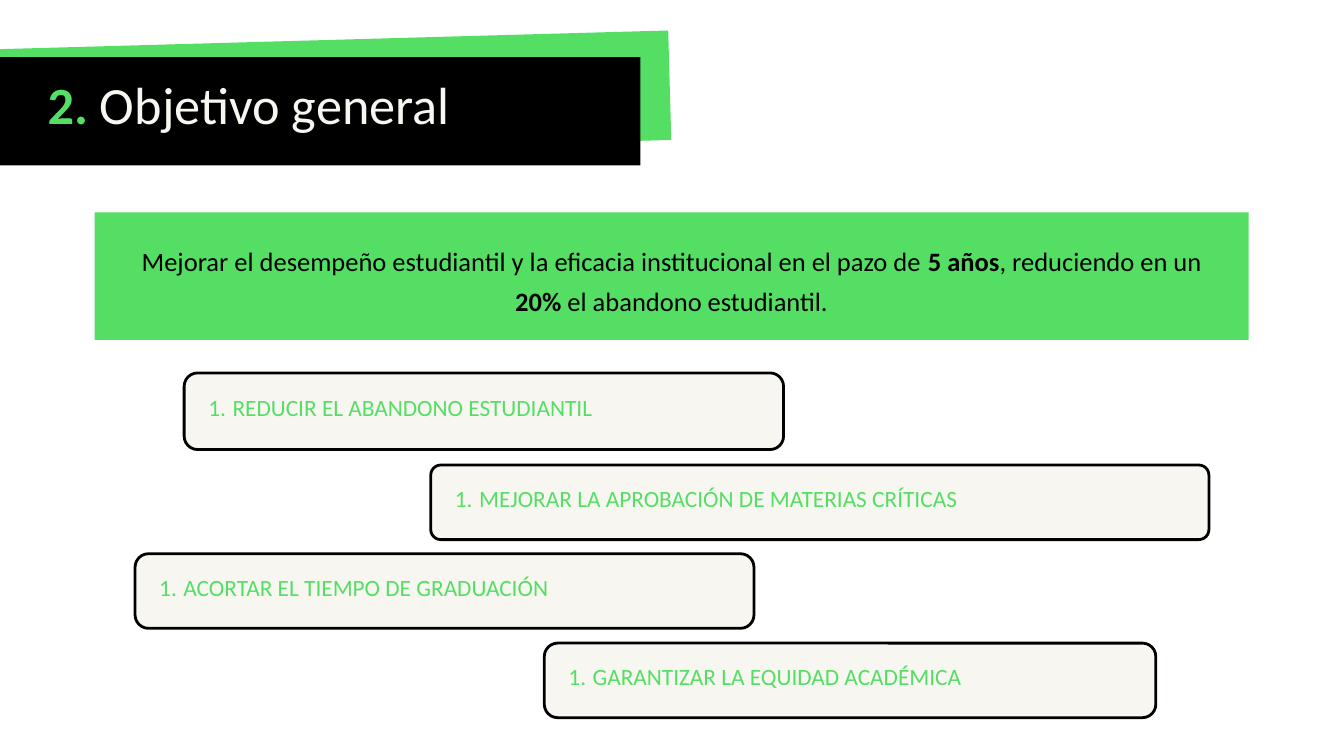
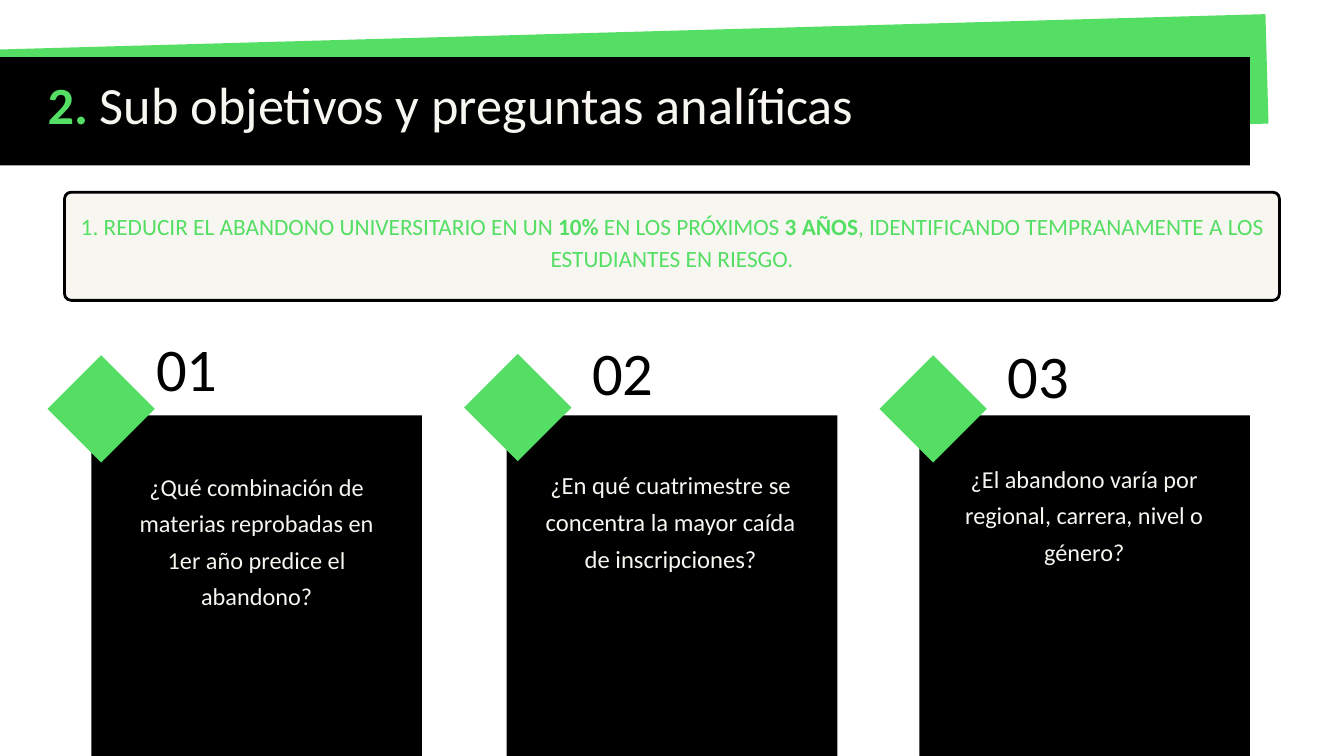
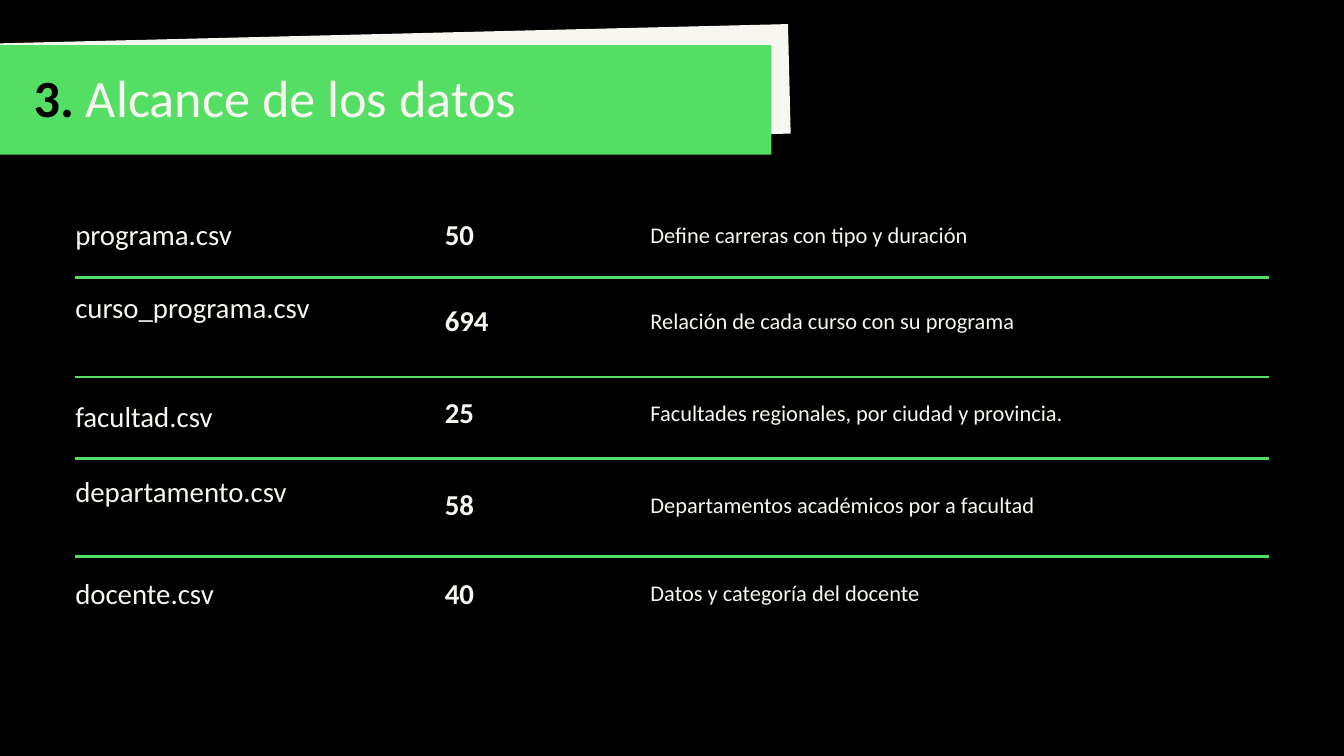
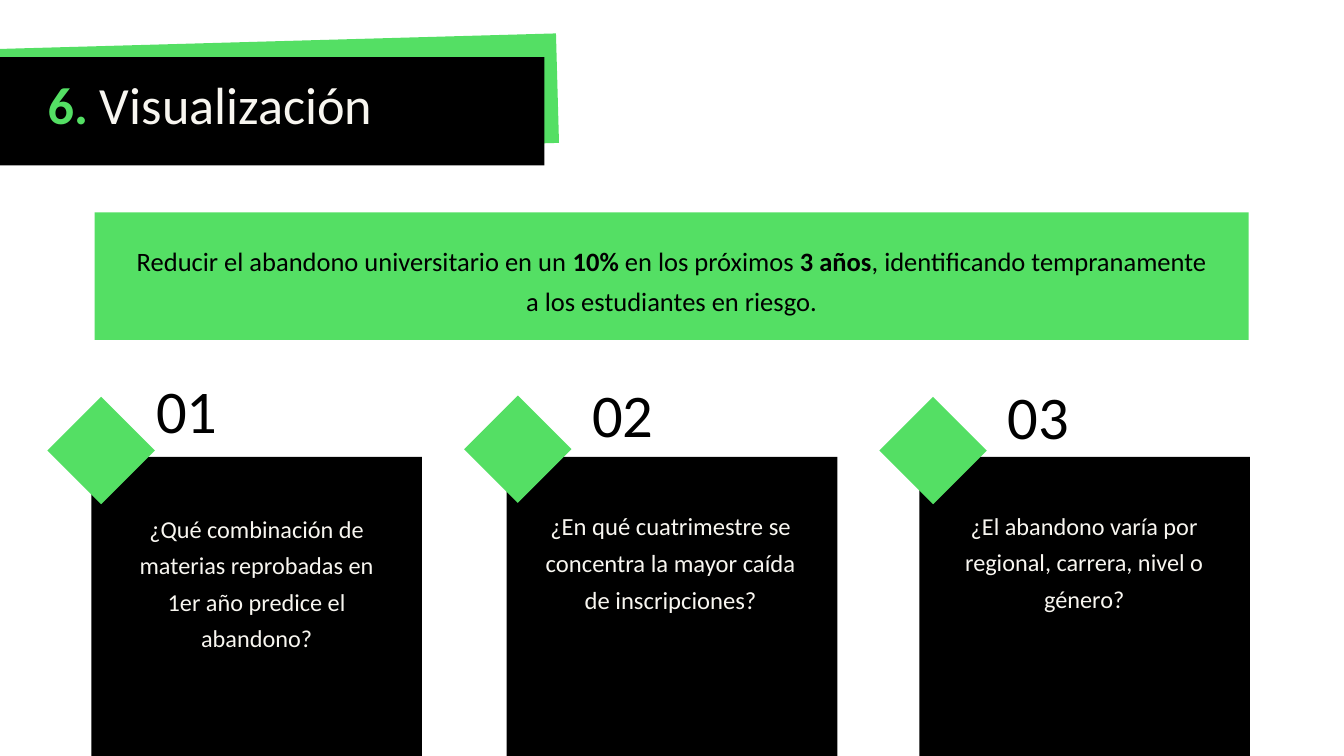
from lxml.etree import SubElement
from pptx import Presentation
from pptx.dml.color import RGBColor
from pptx.enum.shapes import MSO_CONNECTOR, MSO_SHAPE
from pptx.enum.text import MSO_ANCHOR, PP_ALIGN
from pptx.oxml.ns import qn
from pptx.util import Inches, Pt

COLORS = {"green": "54DF64", "black": "000000", "cream": "F8F6F0"}
FONT = "Calibri"

# Card left, diamond left and offset, number text, left and offset,
# question left, width, size, line spacing and text; offsets are from the card top.
QUESTIONS = [
    (1.36, 0.94, -0.66, "01", 1.5, -1.02, 1.89, 3.86, 26, 39,
     "¿Qué combinación de materias reprobadas en 1er año predice el abandono?"),
    (7.54, 7.14, -0.68, "02", 7.99, -0.96, 8.05, 3.86, 26.4, 39.5,
     "¿En qué cuatrimestre se concentra la mayor caída de inscripciones?"),
    (13.68, 13.32, -0.66, "03", 14.17, -0.92, 14.27, 3.73, 26, 39,
     "¿El abandono varía por regional, carrera, nivel o género?"),
]

# Left, top, width, height, corner radius, text
GOALS = [
    (2.74, 5.55, 8.92, 1.14, 0.2, "REDUCIR EL ABANDONO ESTUDIANTIL"),
    (6.41, 6.92, 11.58, 1.11, 0.15, "MEJORAR LA APROBACIÓN DE MATERIAS CRÍTICAS"),
    (2.01, 8.24, 9.21, 1.11, 0.2, "ACORTAR EL TIEMPO DE GRADUACIÓN"),
    (8.1, 9.57, 9.1, 1.11, 0.2, "GARANTIZAR LA EQUIDAD ACADÉMICA"),
]

# File, its top, box height; row count, its top; description
FILES = [
    ("programa.csv", 3.33, 0.43, "50", 3.33, "Define carreras con tipo y duración"),
    ("curso_programa.csv", 4.42, 0.83, "694", 4.61,
     "Relación de cada curso con su programa"),
    ("facultad.csv", 6.04, 0.43, "25", 5.98,
     "Facultades regionales, por ciudad y provincia."),
    ("departamento.csv", 7.16, 0.83, "58", 7.35,
     "Departamentos académicos por a facultad"),
    ("docente.csv", 8.67, 0.43, "40", 8.67, "Datos y categoría del docente"),
]
DIVIDERS = [4.13, 5.61, 6.82, 8.28]


def rgb(color):
    return RGBColor.from_string(COLORS[color])


class Deck:
    """Holds the presentation, its style and the current slide."""

    def __init__(self):
        self.prs = Presentation()
        self.prs.slide_width = Inches(20)
        self.prs.slide_height = Inches(11.25)
        self.slide = None

    def new_slide(self):
        self.slide = self.prs.slides.add_slide(self.prs.slide_layouts[6])

    def block(self, left, top, width, height, color, rotation=0,
              preset=MSO_SHAPE.RECTANGLE):
        shape = self.slide.shapes.add_shape(
            preset, Inches(left), Inches(top), Inches(width), Inches(height))
        shape.shadow.inherit = False
        shape.fill.solid()
        shape.fill.fore_color.rgb = rgb(color)
        shape.line.fill.background()
        shape.rotation = rotation
        return shape

    def text(self, left, top, width, height, parts, size, spacing, color="cream",
             align=PP_ALIGN.LEFT, inset=0, anchor=MSO_ANCHOR.TOP, numbered=False):
        """Write parts, a list of (text, bold, color); a string marks bold with *."""
        box = self.slide.shapes.add_textbox(
            Inches(left), Inches(top), Inches(width), Inches(height))
        frame = box.text_frame
        frame.word_wrap = True
        frame.vertical_anchor = anchor
        frame.margin_left = frame.margin_right = Inches(inset)
        frame.margin_top = frame.margin_bottom = Inches(inset)
        paragraph = frame.paragraphs[0]
        paragraph.alignment = align
        paragraph.line_spacing = Pt(spacing)
        if numbered:
            self.number(paragraph, color)
        paragraph.font.name = FONT
        paragraph.font.size = Pt(size)
        paragraph.font.color.rgb = rgb(color)
        if isinstance(parts, str):
            parts = [(part, i % 2 == 1, color)
                     for i, part in enumerate(parts.split("*")) if part]
        for part, bold, part_color in parts:
            run = paragraph.add_run()
            run.text = part
            if bold:
                run.font.bold = True
            if part_color != color:
                run.font.color.rgb = rgb(part_color)

    def number(self, paragraph, color):
        properties = paragraph._p.get_or_add_pPr()
        properties.set("marL", str(Inches(0.66)))
        properties.set("indent", str(Inches(-0.36)))
        bullet_color = SubElement(properties, qn("a:buClr"))
        SubElement(bullet_color, qn("a:srgbClr"), val=COLORS[color])
        SubElement(properties, qn("a:buAutoNum"), type="arabicPeriod")

    def title(self, tilted, bar, label_box, number, label,
              colors=("green", "black", "green"), tilt=-1.6):
        """Draw a tilted band, a straight bar over it and the numbered title."""
        band_color, bar_color, number_color = colors
        self.block(*tilted, 1.63, band_color, tilt)
        self.block(*bar, bar_color)
        self.text(*label_box, 0.79,
                  [(number, True, number_color), (" " + label, False, "cream")], 56, 52.6)

    def section_title(self, band_top, band_width, bar_width, number, label):
        self.title((-11.25, band_top, band_width), (-11.42, 0.85, bar_width, 1.61),
                   (0.71, 1.27, 17.89), number, label)

    def statement(self, sentence):
        self.block(1.41, 3.16, 17.17, 1.9, "green")
        self.text(1.9, 3.53, 16.19, 1.14, sentence, 28.4, 42.5, "black",
                  PP_ALIGN.CENTER)

    def goal(self, left, top, width, height, radius, label, numbered=True):
        frame = self.block(left, top, width, height, "cream",
                           preset=MSO_SHAPE.ROUNDED_RECTANGLE)
        frame.adjustments[0] = radius / height
        frame.line.color.rgb = rgb("black")
        frame.line.width = Pt(3)
        self.text(left, top - 0.19, width, height + 0.19, label, 25, 35, "green",
                  PP_ALIGN.LEFT if numbered else PP_ALIGN.CENTER, 0.06,
                  MSO_ANCHOR.MIDDLE, numbered)

    def question_cards(self, top, question_offsets):
        for card, offset in zip(QUESTIONS, question_offsets):
            (left, diamond_left, diamond_offset, number, number_left, number_offset,
             question_left, width, size, spacing, question) = card
            self.text(number_left, top + number_offset, 2.56, 0.92, number,
                      64.9, 61, "black", PP_ALIGN.CENTER)
            self.block(left, top, 4.92, 6.85, "black")
            self.block(diamond_left, top + diamond_offset, 1.13, 1.13, "green", 45)
            self.text(question_left, top + offset, width, 2.68, question,
                      size, spacing, align=PP_ALIGN.CENTER)

    def divider(self, y):
        line = self.slide.shapes.add_connector(
            MSO_CONNECTOR.STRAIGHT, Inches(18.88), Inches(y), Inches(1.12), Inches(y))
        line.line.color.rgb = rgb("green")
        line.line.width = Pt(3)
        SubElement(line._element.spPr, qn("a:effectLst"))


def general_goal(deck):
    deck.new_slide()
    deck.section_title(0.75, 21.22, 20.95, "2.", "Objetivo general")
    deck.statement("Mejorar el desempeño estudiantil y la eficacia institucional en el "
                   "pazo de *5 años*, reduciendo en un *20%* el abandono estudiantil.")
    for goal in GOALS:
        deck.goal(*goal)


def sub_goals(deck):
    deck.new_slide()
    deck.section_title(0.63, 30.11, 30.02, "2.", "Sub objetivos y preguntas analíticas")
    deck.question_cards(6.18, (0.74, 0.71, 0.62))
    deck.goal(0.96, 2.86, 18.08, 1.61, 0.1,
              "1. REDUCIR EL ABANDONO UNIVERSITARIO EN UN *10% *EN LOS PRÓXIMOS* 3 AÑOS*, "
              "IDENTIFICANDO TEMPRANAMENTE A LOS ESTUDIANTES EN RIESGO.", numbered=False)


def data_scope(deck):
    deck.new_slide()
    deck.block(0, -0.07, 20.17, 11.32, "black")
    for file, file_top, file_height, count, count_top, description in FILES:
        deck.text(1.12, file_top, 4.49, file_height, file, 30.9, 29.1)
        deck.text(6.62, count_top, 2.42, 0.43, f"*{count}*", 30.9, 29.1)
        deck.text(9.68, count_top + 0.04, 9.2, 0.35, description, 24, 22.6)
    for y in DIVIDERS:
        deck.divider(y)
    deck.title((-17.87, 0.72, 29.62), (-18.49, 0.67, 29.97, 1.63), (0.5, 1.17, 10.75),
               "3.", "Alcance de los datos", ("cream", "green", "black"), -1.4)


def visualization(deck):
    deck.new_slide()
    deck.section_title(0.77, 19.55, 19.52, "6.", "Visualización")
    deck.statement("Reducir el abandono universitario en un *10%* en los próximos *3 años*, "
                   "identificando tempranamente a los estudiantes en riesgo.")
    deck.question_cards(6.8, (0.74, 0.7, 0.7))


def main():
    deck = Deck()
    for build in (general_goal, sub_goals, data_scope, visualization):
        build(deck)
    deck.prs.save("out.pptx")


if __name__ == "__main__":
    main()
